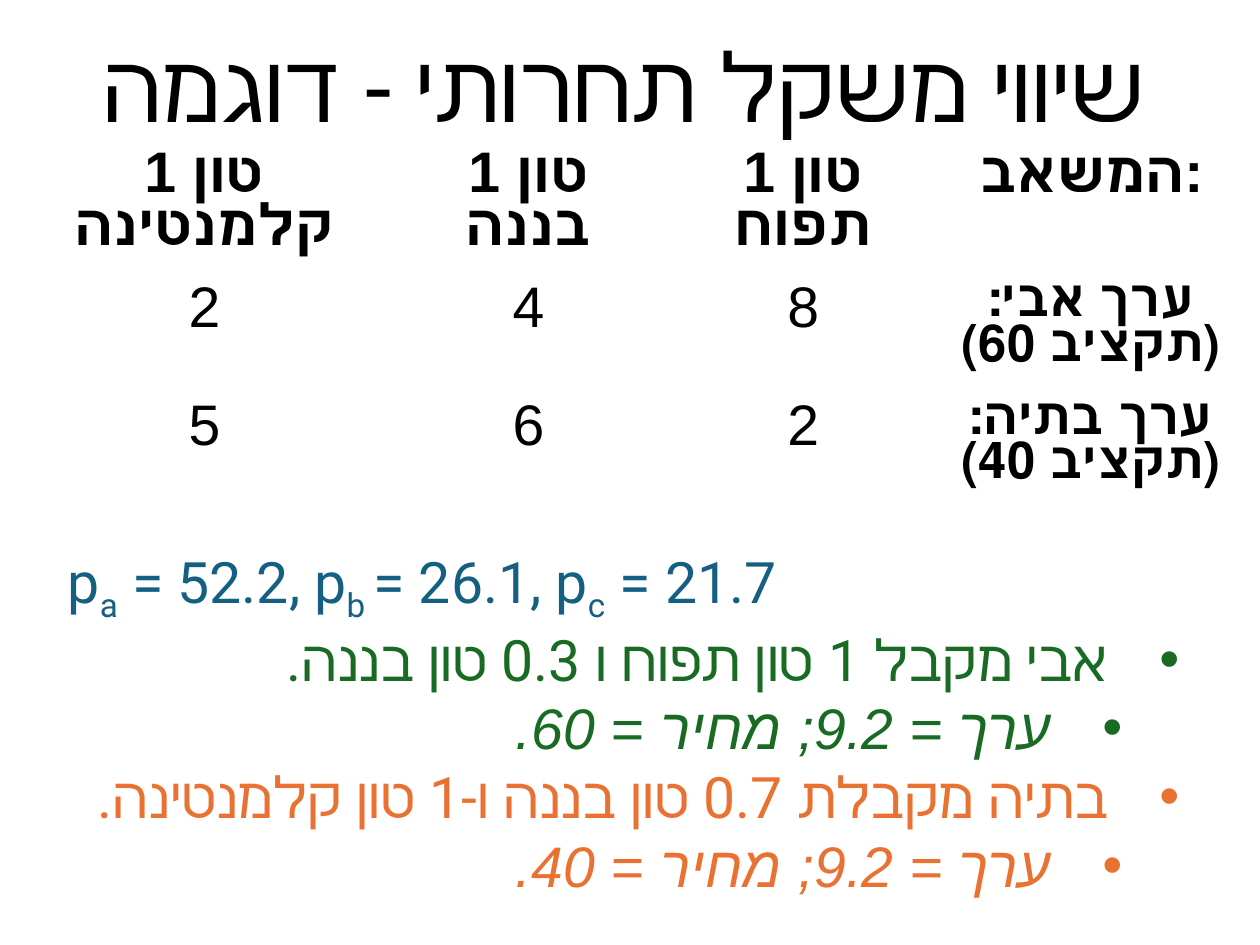
from pptx import Presentation
from pptx.dml.color import RGBColor
from pptx.enum.text import MSO_ANCHOR, MSO_AUTO_SIZE, PP_ALIGN
from pptx.oxml.xmlchemy import OxmlElement
from pptx.util import Cm, Inches, Pt

WIDE, HIGH = Cm(28), Cm(21)
BLACK = RGBColor(0, 0, 0)
BLUE = RGBColor(0x15, 0x60, 0x82)
GREEN = RGBColor(0x19, 0x6B, 0x24)
ORANGE = RGBColor(0xE9, 0x71, 0x32)
LEFT, SPAN = 0.045, 0.9
COLS = (3.29, 2.38, 2.43, 2.61)
ROWS = (0.87, 0.75, 0.83)
GOODS = ("1 טון קלמנטינה", "1 טון בננה", "1 טון תפוח", "המשאב:")
BUYERS = (
    (("2", "4", "8"), ("ערך אבי:", "(תקציב 60)")),
    (("5", "6", "2"), ("ערך בתיה:", "(תקציב 40)")),
)
PRICES = (("p", "a"), (" = 52.2, p", "b "), ("= 26.1, p", "c"), (" = 21.7", ""))
SHARES = (
    ("אבי מקבל 1 טון תפוח ו 0.3 טון בננה.", "ערך = 9.2; מחיר = 60.", GREEN),
    ("בתיה מקבלת 0.7 טון בננה ו-1 טון קלמנטינה.", "ערך = 9.2; מחיר = 40.", ORANGE),
)


def add_run(para, text, size, color=BLACK, face="Arial", script="", bold=False, slant=False, base=0):
    run = para.add_run()
    run.text = text
    font = run.font
    font.name, font.size = face, Pt(size)
    font.bold, font.italic = bold, slant
    font.color.rgb = color
    props = run._r.get_or_add_rPr()
    if script:
        glyphs = OxmlElement("a:cs")
        glyphs.set("typeface", script)
        props.append(glyphs)
    if base:
        props.set("baseline", str(base * 1000))


def set_rtl(para):
    para._p.get_or_add_pPr().set("rtl", "1")


def add_bullet(para, level):
    para.level = level
    para.alignment = PP_ALIGN.RIGHT
    set_rtl(para)
    props = para._p.get_or_add_pPr()
    props.set("marL", str(Inches(0.62 + level / 2)))
    props.set("indent", str(-Inches(0.62)))
    for tag, key, value in (("a:buFont", "typeface", "Arial"), ("a:buChar", "char", "•")):
        mark = OxmlElement(tag)
        mark.set(key, value)
        props.append(mark)


def add_box(slide, top, high):
    box = slide.shapes.add_textbox(
        int(WIDE * LEFT), int(HIGH * top), int(WIDE * SPAN), int(HIGH * high))
    box.text_frame.word_wrap = True
    return box.text_frame


def add_title(slide, text):
    frame = add_box(slide, 0.036, 0.106)
    frame.vertical_anchor = MSO_ANCHOR.MIDDLE
    frame.margin_left = frame.margin_right = frame.margin_top = frame.margin_bottom = 0
    para = frame.paragraphs[0]
    para.alignment = PP_ALIGN.CENTER
    set_rtl(para)
    add_run(para, text, 60, script="Roboto")


def fill_cell(cell, lines, size=36, bold=True, rtl=False):
    cell.fill.background()
    frame = cell.text_frame
    for index, line in enumerate(lines):
        para = frame.add_paragraph() if index else frame.paragraphs[0]
        para.alignment = PP_ALIGN.CENTER
        para.line_spacing = 0.87 if rtl else 0.9
        if rtl:
            set_rtl(para)
        add_run(para, line, size, bold=bold)


def add_values(slide):
    table = slide.shapes.add_table(
        len(ROWS), len(COLS), int(WIDE * 0.013), int(HIGH * 0.149),
        Inches(sum(COLS)), Inches(sum(ROWS))).table
    table.first_row = table.horz_banding = False
    for col, wide in zip(table.columns, COLS):
        col.width = Inches(wide)
    for row, high in zip(table.rows, ROWS):
        row.height = Inches(high)
    for col, good in enumerate(GOODS):
        fill_cell(table.cell(0, col), [good])
    for row, (values, label) in enumerate(BUYERS, 1):
        for col, value in enumerate(values):
            fill_cell(table.cell(row, col), [value], bold=False)
        fill_cell(table.cell(row, len(values)), label, size=32, rtl=True)


def add_result(slide):
    frame = add_box(slide, 0.572, 0.378)
    frame.auto_size = MSO_AUTO_SIZE.SHAPE_TO_FIT_TEXT
    para = frame.paragraphs[0]
    for text, sub in PRICES:
        add_run(para, text, 36, BLUE, "Roboto")
        if sub:
            add_run(para, sub, 36, BLUE, "Roboto", base=-25)
    for *lines, color in SHARES:
        for level, line in enumerate(lines):
            para = frame.add_paragraph()
            add_bullet(para, level)
            script = "Arial" if level else "Roboto"
            add_run(para, line, 36, color, "Roboto", script, slant=level == 1)


def main():
    deck = Presentation()
    deck.slide_width = WIDE
    deck.slide_height = HIGH
    slide = deck.slides.add_slide(deck.slide_layouts[6])
    add_title(slide, "שיווי משקל תחרותי - דוגמה")
    add_values(slide)
    add_result(slide)
    deck.save("out.pptx")


if __name__ == "__main__":
    main()
